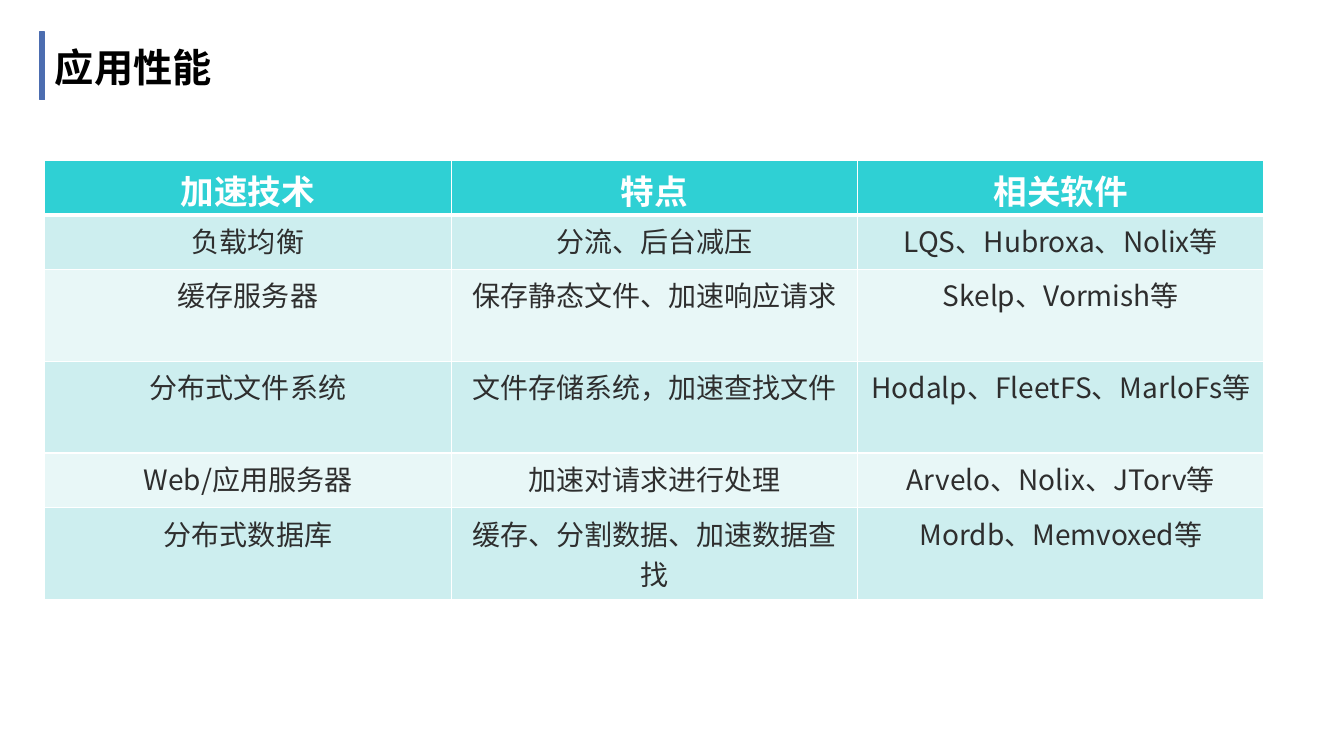
import pptx
import pptx.util
import pptx.dml.color
import pptx.enum.shapes
import pptx.enum.text
import pptx.oxml.ns
import lxml.etree

Pt = pptx.util.Pt
FONT = "Noto Sans CJK SC"
TITLE = "应用性能"
ROWS = [
    ("加速技术", "特点", "相关软件"),
    ("负载均衡", "分流、后台减压", "LQS、Hubroxa、Nolix等"),
    ("缓存服务器", "保存静态文件、加速响应请求", "Skelp、Vormish等"),
    ("分布式文件系统", "文件存储系统，加速查找文件", "Hodalp、FleetFS、MarloFs等"),
    ("Web/应用服务器", "加速对请求进行处理", "Arvelo、Nolix、JTorv等"),
    ("分布式数据库", "缓存、分割数据、加速数据查找", "Mordb、Memvoxed等"),
]
SINGLE, DOUBLE = 39, 65.6
ROW_HEIGHTS = [SINGLE, SINGLE, DOUBLE, DOUBLE, SINGLE, DOUBLE]
COLUMN_WIDTH = 290.3
LEFT, TABLE_TOP = 32, 114.4
HEADER_FILL = "2FD0D4"
BAND_FILLS = ["E8F7F7", "CDEEEF"]


def color(value):
    return pptx.dml.color.RGBColor.from_string(value)


def format_para(para, size, ink, bold, align):
    para.alignment = align
    for span in para.runs:
        span.font.size = Pt(size)
        span.font.bold = bold
        span.font.name = FONT
        span.font.color.rgb = color(ink)
        east_asian = lxml.etree.SubElement(span.font._element, pptx.oxml.ns.qn("a:ea"))
        east_asian.set("typeface", FONT)


def add_border(cell, side, width):
    properties = cell._tc.get_or_add_tcPr()
    line = lxml.etree.SubElement(properties, pptx.oxml.ns.qn("a:ln" + side), w=str(Pt(width)))
    fill = lxml.etree.SubElement(line, pptx.oxml.ns.qn("a:solidFill"))
    lxml.etree.SubElement(fill, pptx.oxml.ns.qn("a:srgbClr"), val="FFFFFF")


def add_title(page):
    bar = page.shapes.add_shape(
        pptx.enum.shapes.MSO_SHAPE.RECTANGLE, Pt(28.4), Pt(23), Pt(3.6), Pt(48.2))
    bar.shadow.inherit = False
    bar.fill.solid()
    bar.fill.fore_color.rgb = color("4C6DB0")
    bar.line.color.rgb = color("4C6DB0")
    bar.line.width = Pt(1)

    title = page.shapes.title
    title.left, title.top, title.width, title.height = Pt(LEFT), Pt(27.4), Pt(480), Pt(41)
    frame = title.text_frame
    frame.text = TITLE
    frame.word_wrap = True
    frame.vertical_anchor = pptx.enum.text.MSO_ANCHOR.MIDDLE
    format_para(frame.paragraphs[0], 28, "000000", True, pptx.enum.text.PP_ALIGN.LEFT)


def add_software_table(page):
    columns = len(ROWS[0])
    table = page.shapes.add_table(
        len(ROWS), columns, Pt(LEFT), Pt(TABLE_TOP),
        Pt(COLUMN_WIDTH * columns), Pt(sum(ROW_HEIGHTS))).table
    for column in table.columns:
        column.width = Pt(COLUMN_WIDTH)
    for index, texts in enumerate(ROWS):
        header = index == 0
        table.rows[index].height = Pt(ROW_HEIGHTS[index])
        borders = {"L": 1, "R": 1, "T": 3 if index == 1 else 1, "B": 3 if header else 1}
        for position, text in enumerate(texts):
            cell = table.cell(index, position)
            cell.text_frame.text = text
            if header:
                cell.margin_bottom = 0
            for side, width in borders.items():
                add_border(cell, side, width)
            cell.fill.solid()
            cell.fill.fore_color.rgb = color(HEADER_FILL if header else BAND_FILLS[index % 2])
            format_para(cell.text_frame.paragraphs[0], 24 if header else 20,
                        "FFFFFF" if header else "2E2E2E", header,
                        pptx.enum.text.PP_ALIGN.CENTER)


def main():
    deck = pptx.Presentation()
    deck.slide_width, deck.slide_height = Pt(960), Pt(540)
    page = deck.slides.add_slide(deck.slide_layouts[5])
    add_title(page)
    add_software_table(page)
    deck.save("out.pptx")


if __name__ == "__main__":
    main()
